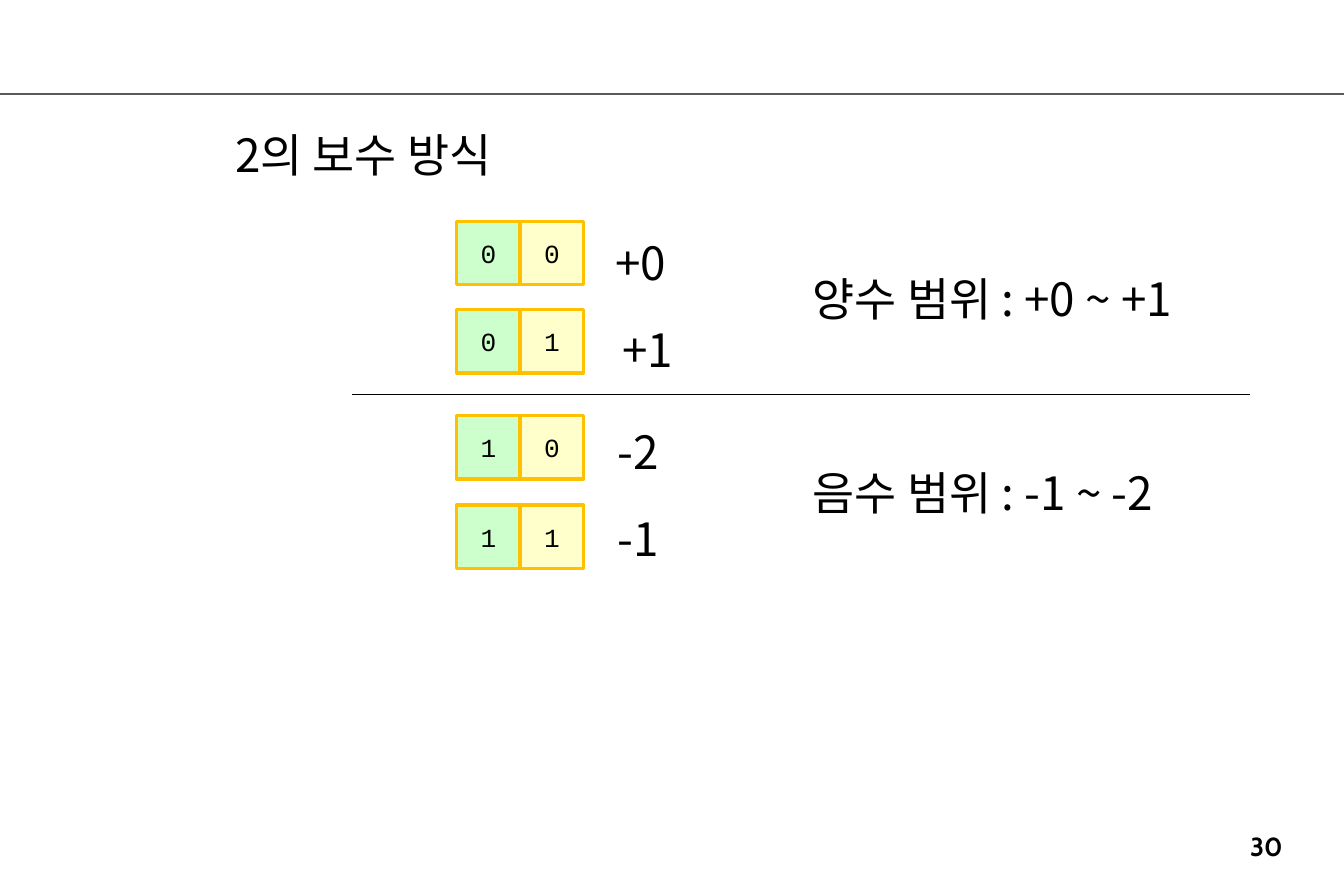
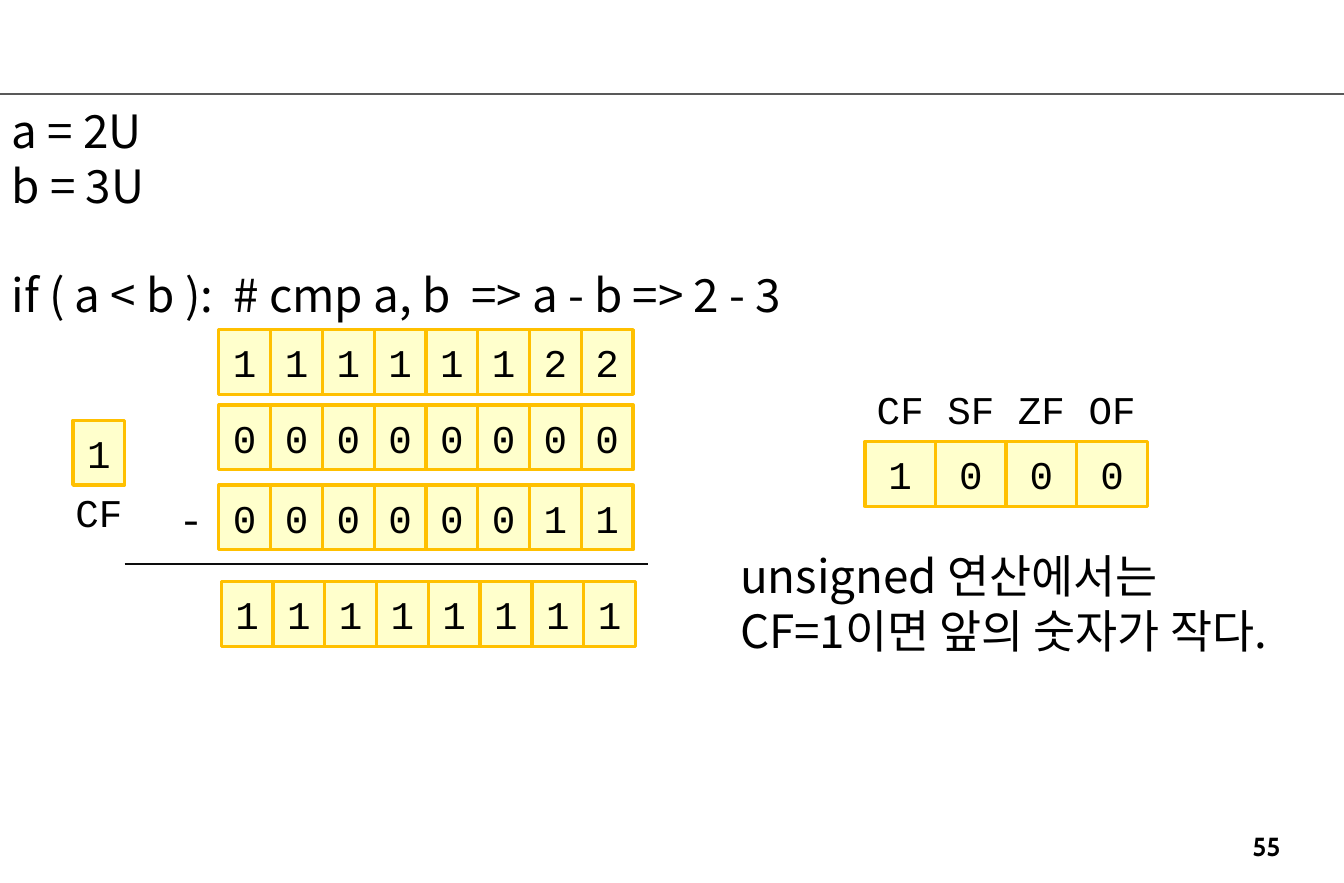
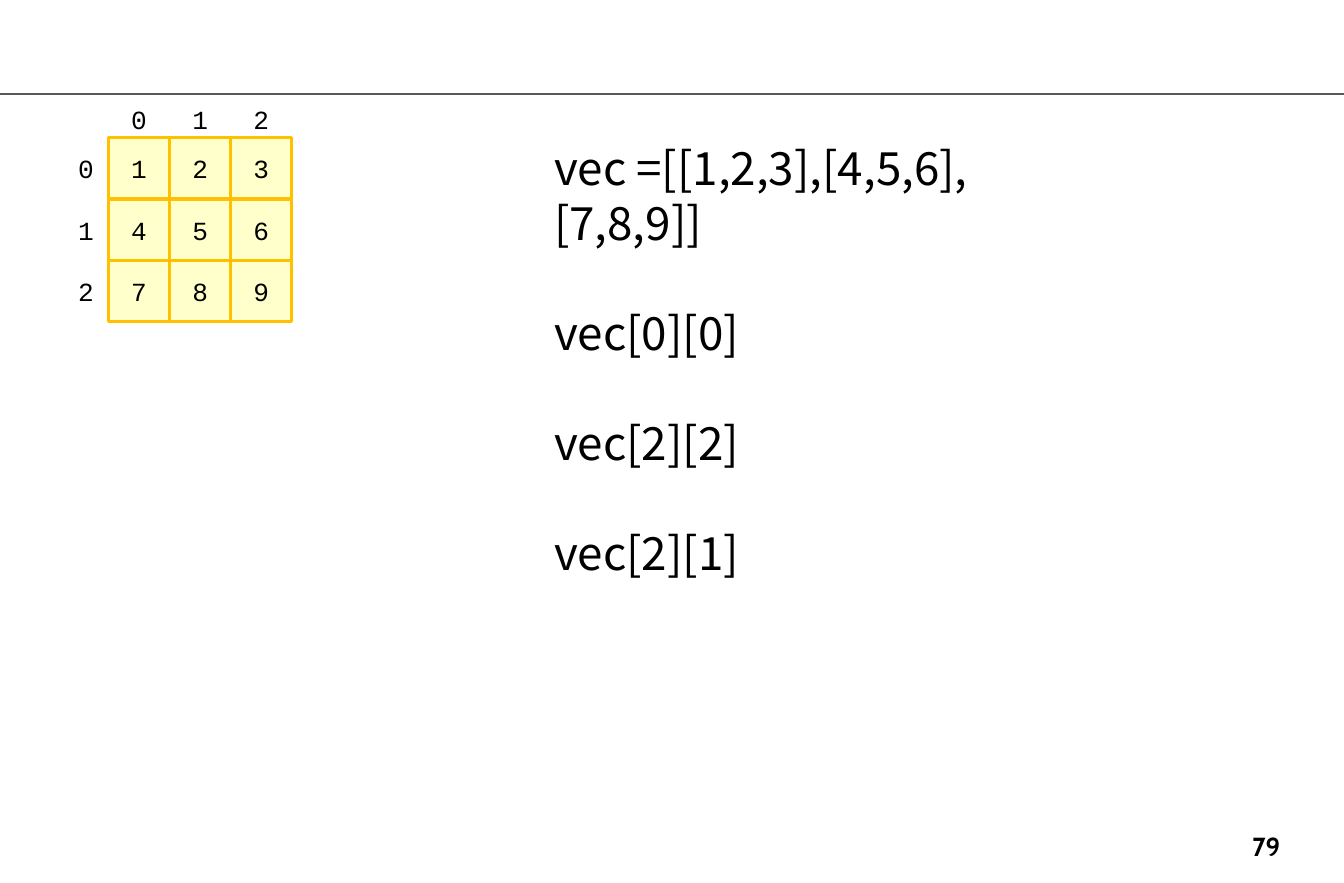
from lxml.etree import SubElement
from pptx import Presentation
from pptx.dml.color import RGBColor
from pptx.enum.shapes import MSO_CONNECTOR, MSO_SHAPE
from pptx.enum.text import MSO_ANCHOR, PP_ALIGN
from pptx.oxml.ns import qn
from pptx.util import Inches, Pt

# Shared look
BLACK, RULE_GREY, LINE_BLACK = "000000", "595959", "0D0D0D"
GOLD, YELLOW, GREEN = "FFC000", "FFFFCC", "CCFFCC"
BODY_FONT, CODE_FONT, NUMBER_FONT = "Noto Sans CJK KR", "Courier New", "Cabin"
BODY_SIZE, LINE_PITCH = 28, 33.6
SLIDE_WIDTH, SLIDE_HEIGHT = 11.42, 7.5


def colour(value):
    return RGBColor.from_string(value)


def add_span(para, text, font, size, bold=False):
    span = para.add_run()
    span.text = text
    span.font.size = Pt(size)
    span.font.bold = bold
    span.font.color.rgb = colour(BLACK)
    span.font.name = font
    SubElement(span._r.get_or_add_rPr(), qn("a:ea"), typeface=font)


def add_line(page, left, top, right, shade=BLACK, width=0.75):
    line = page.shapes.add_connector(
        MSO_CONNECTOR.STRAIGHT, Inches(left), Inches(top), Inches(right), Inches(top))
    line.line.color.rgb = colour(shade)
    line.line.width = Pt(width)
    SubElement(line._element.spPr, qn("a:effectLst"))


def add_page(deck, number):
    """Blank page with the shared top rule and page number."""
    page = deck.slides.add_slide(deck.slide_layouts[6])
    add_line(page, 0, 0.8, SLIDE_WIDTH, RULE_GREY, 1.5)
    box = page.shapes.add_textbox(Inches(8.79), Inches(7), Inches(3.94), Inches(0.24))
    box.text_frame.word_wrap = True
    para = box.text_frame.paragraphs[0]
    para.alignment = PP_ALIGN.CENTER
    add_span(para, str(number), NUMBER_FONT, 16, bold=True)
    return page


def add_text(page, left, top, width, lines, gaps=()):
    """Body text; lines whose index is in gaps stand one line lower."""
    height = 0.1 + (len(lines) + len(gaps)) * LINE_PITCH / 72
    box = page.shapes.add_textbox(Inches(left), Inches(top), Inches(width), Inches(height))
    frame = box.text_frame
    frame.word_wrap = True
    frame.margin_top = Inches(0.08)
    for index, text in enumerate(lines):
        para = frame.add_paragraph() if index else frame.paragraphs[0]
        para.line_spacing = Pt(LINE_PITCH)
        para.space_before = Pt(LINE_PITCH if index in gaps else 0)
        add_span(para, text, BODY_FONT, BODY_SIZE)


def add_cell(page, left, top, width, height, text, size, fill):
    """Centred code text, framed when a fill is given."""
    place = Inches(left), Inches(top), Inches(width), Inches(height)
    if fill:
        box = page.shapes.add_shape(MSO_SHAPE.RECTANGLE, *place)
        box.shadow.inherit = False
        box.fill.solid()
        box.fill.fore_color.rgb = colour(fill)
        box.line.color.rgb = colour(GOLD)
        box.line.width = Pt(2)
    else:
        box = page.shapes.add_textbox(*place)
    frame = box.text_frame
    frame.word_wrap = True
    frame.margin_left = frame.margin_right = 0
    frame.vertical_anchor = MSO_ANCHOR.MIDDLE
    para = frame.paragraphs[0]
    para.alignment = PP_ALIGN.CENTER
    add_span(para, text, CODE_FONT, size)


def add_row(page, left, top, width, height, texts, size, fills=(YELLOW,)):
    """Adjoining cells; the fills are used in turn."""
    for index, text in enumerate(texts):
        add_cell(page, left + index * width, top, width, height, text, size,
                 fills[index % len(fills)])


def build_complement(deck):
    page = add_page(deck, 30)
    add_text(page, 1.9, 1, 2.8, ["2의 보수 방식"])

    # Two-bit codes and their values
    codes = [
        ("00", 1.88, "+0", 5.13, 1.91),
        ("01", 2.63, "+1", 5.19, 2.65),
        ("10", 3.53, "-2", 5.15, 3.52),
        ("11", 4.29, "-1", 5.15, 4.26),
    ]
    for bits, top, value, value_left, value_top in codes:
        add_row(page, 3.88, top, 0.54, 0.54, bits, 16, (GREEN, YELLOW))
        add_text(page, value_left, value_top, 1, [value])

    # Ranges above and below the divider
    add_text(page, 6.81, 2.22, 4, ["양수 범위 : +0 ~ +1"])
    add_text(page, 6.81, 3.87, 4, ["음수 범위 : -1 ~ -2"])
    add_line(page, 2.99, 3.35, 10.62)


def build_unsigned_compare(deck):
    page = add_page(deck, 55)
    add_text(page, 0, 0.79, 7.92,
             ["a = 2U", "b = 3U", "if ( a < b ):  # cmp a, b  => a - b => 2 - 3"], gaps=(2,))

    # Binary subtraction
    bit_rows = [
        (1.86, 2.8, "11111122"),
        (1.86, 3.44, "00000000"),
        (1.86, 4.12, "00000011"),
        (1.88, 4.94, "11111111"),
    ]
    for left, top, bits in bit_rows:
        add_row(page, left, top, 0.44, 0.55, bits, 24)
    add_text(page, 1.46, 4.09, 0.4, ["-"])
    add_line(page, 1.06, 4.79, 5.51, LINE_BLACK)

    # Borrow bit
    add_cell(page, 0.62, 3.57, 0.44, 0.55, "1", 24, YELLOW)
    add_cell(page, 0.54, 4.07, 0.6, 0.55, "CF", 24, None)

    # Flags
    add_row(page, 7.35, 3.2, 0.6, 0.55, ["CF", "SF", "ZF", "OF"], 24, (None,))
    add_row(page, 7.35, 3.75, 0.6, 0.55, "1000", 24)
    add_text(page, 6.19, 4.57, 5.17, ["unsigned 연산에서는", "CF=1이면 앞의 숫자가 작다."])


def build_matrix(deck):
    page = add_page(deck, 79)

    # Matrix with column and row indexes
    left, top, side = 0.92, 1.17, 0.52
    add_row(page, left, 0.75, side, side, "012", 16, (None,))
    for row, digits in enumerate(["123", "456", "789"]):
        row_top = top + row * side
        add_cell(page, 0.47, row_top, side, side, str(row), 16, None)
        add_row(page, left, row_top, side, side, digits, 16)

    # Indexing examples
    add_text(page, 4.61, 1.11, 4.78,
             ["vec =[[1,2,3],[4,5,6],[7,8,9]]", "vec[0][0]", "vec[2][2]", "vec[2][1]"],
             gaps=(1, 2, 3))


def main():
    deck = Presentation()
    deck.slide_width = Inches(SLIDE_WIDTH)
    deck.slide_height = Inches(SLIDE_HEIGHT)
    build_complement(deck)
    build_unsigned_compare(deck)
    build_matrix(deck)
    deck.save("out.pptx")


if __name__ == "__main__":
    main()
